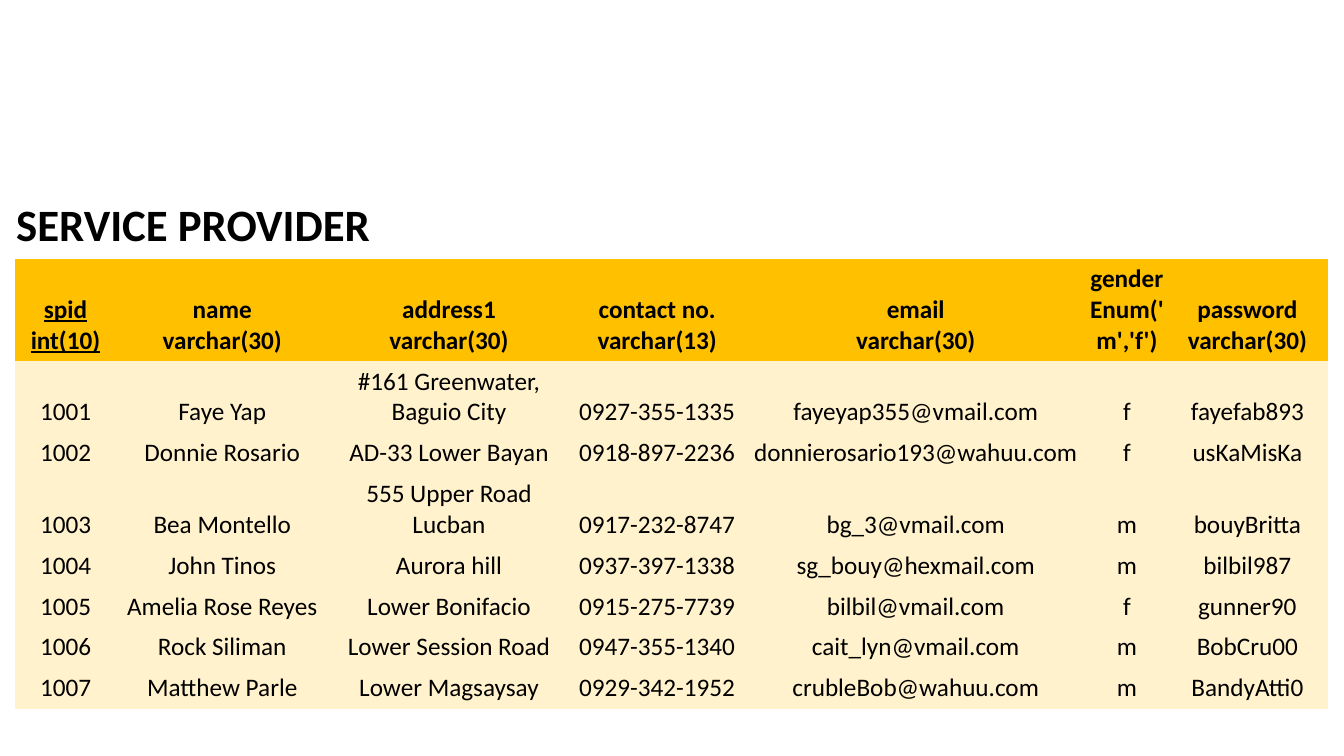
from pptx import Presentation
from pptx.dml.color import RGBColor
from pptx.enum.text import MSO_ANCHOR, PP_ALIGN
from pptx.oxml.ns import qn
from pptx.util import Pt

BOTTOM = MSO_ANCHOR.BOTTOM
LEFT, CENTER = PP_ALIGN.LEFT, PP_ALIGN.CENTER
PLAIN_STYLE = "{2D5ABB26-0587-4C30-8999-92F81FD0307C}"

WIDTHS = [72, 151.9, 172.1, 125.3, 244.1, 57.6, 114.5]
HEIGHTS = [39.6, 23, 44.6, 23, 44.6, 23, 23, 23, 23]
HEADS = [
    ("spid", "int(10)"),
    ("name", "varchar(30)"),
    ("address1", "varchar(30)"),
    ("contact no.", "varchar(13)"),
    ("email", "varchar(30)"),
    ("gender", "Enum('m','f')"),
    ("password", "varchar(30)"),
]
PEOPLE = [
    ("1001", "Faye Yap", "#161 Greenwater, Baguio City", "0927-355-1335",
     "fayeyap355@vmail.com", "f", "fayefab893"),
    ("1002", "Donnie Rosario", "AD-33 Lower Bayan", "0918-897-2236",
     "donnierosario193@wahuu.com", "f", "usKaMisKa"),
    ("1003", "Bea Montello", "555 Upper Road Lucban", "0917-232-8747",
     "bg_3@vmail.com", "m", "bouyBritta"),
    ("1004", "John Tinos", "Aurora hill", "0937-397-1338",
     "sg_bouy@hexmail.com", "m", "bilbil987"),
    ("1005", "Amelia Rose Reyes", "Lower Bonifacio", "0915-275-7739",
     "bilbil@vmail.com", "f", "gunner90"),
    ("1006", "Rock Siliman", "Lower Session Road", "0947-355-1340",
     "cait_lyn@vmail.com", "m", "BobCru00"),
    ("1007", "Matthew Parle", "Lower Magsaysay", "0929-342-1952",
     "crubleBob@wahuu.com", "m", "BandyAtti0"),
]


def color(code):
    return RGBColor.from_string(code)


def write(cell, lines, fill=None, size=18, bold=False, under=False, align=CENTER):
    """Fill a cell with one paragraph per line, set at its bottom."""
    cell.vertical_anchor = BOTTOM
    cell.margin_left = cell.margin_right = Pt(0.72)
    cell.margin_top = cell.margin_bottom = Pt(3.6)
    if fill:
        cell.fill.solid()
        cell.fill.fore_color.rgb = color(fill)
    frame = cell.text_frame
    for i, line in enumerate(lines):
        para = frame.add_paragraph() if i else frame.paragraphs[0]
        para.alignment = align
        run = para.add_run()
        run.text = line
        font = run.font
        font.name = "Calibri"
        font.size = Pt(size)
        font.bold = bold
        font.underline = under
        font.color.rgb = color("000000")


deck = Presentation()
deck.slide_width, deck.slide_height = Pt(960), Pt(540)
slide = deck.slides.add_slide(deck.slide_layouts[6])

frame = slide.shapes.add_table(len(HEIGHTS), len(WIDTHS), Pt(10.8), Pt(138.4),
                               Pt(sum(WIDTHS)), Pt(sum(HEIGHTS)))
table = frame.table
table.first_row = table.horz_banding = False
table._tbl.tblPr.find(qn("a:tableStyleId")).text = PLAIN_STYLE
for col, width in zip(table.columns, WIDTHS):
    col.width = Pt(width)
for row, height in zip(table.rows, HEIGHTS):
    row.height = Pt(height)

title = table.cell(0, 0)
title.merge(table.cell(0, len(WIDTHS) - 1))
write(title, ["SERVICE PROVIDER"], size=32, bold=True, align=LEFT)

for c, head in enumerate(HEADS):
    write(table.cell(1, c), head, "FFC000", bold=True, under=c == 0)

for r, person in enumerate(PEOPLE, 2):
    for c, value in enumerate(person):
        write(table.cell(r, c), [value], "FFF2CC")

deck.save("out.pptx")
